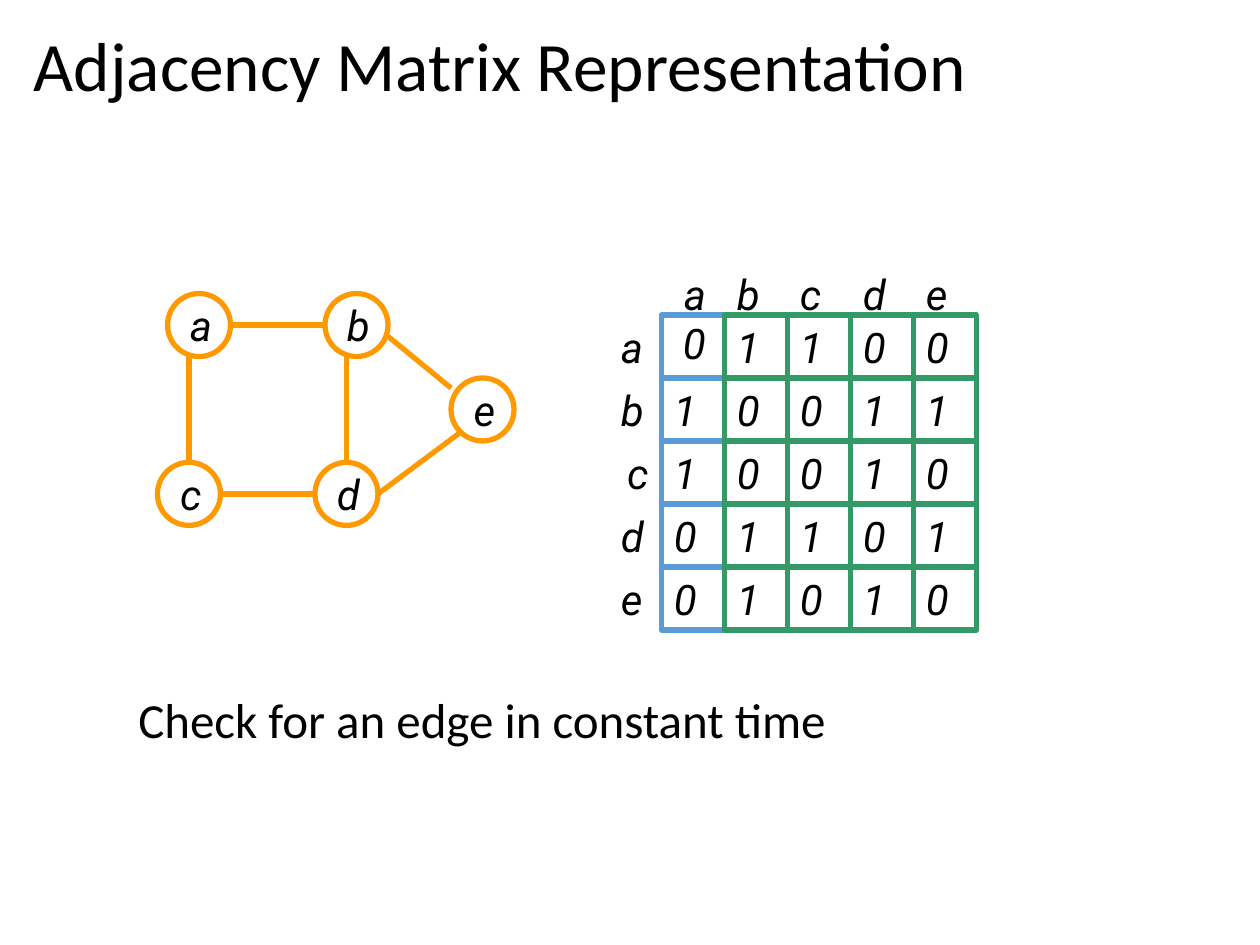
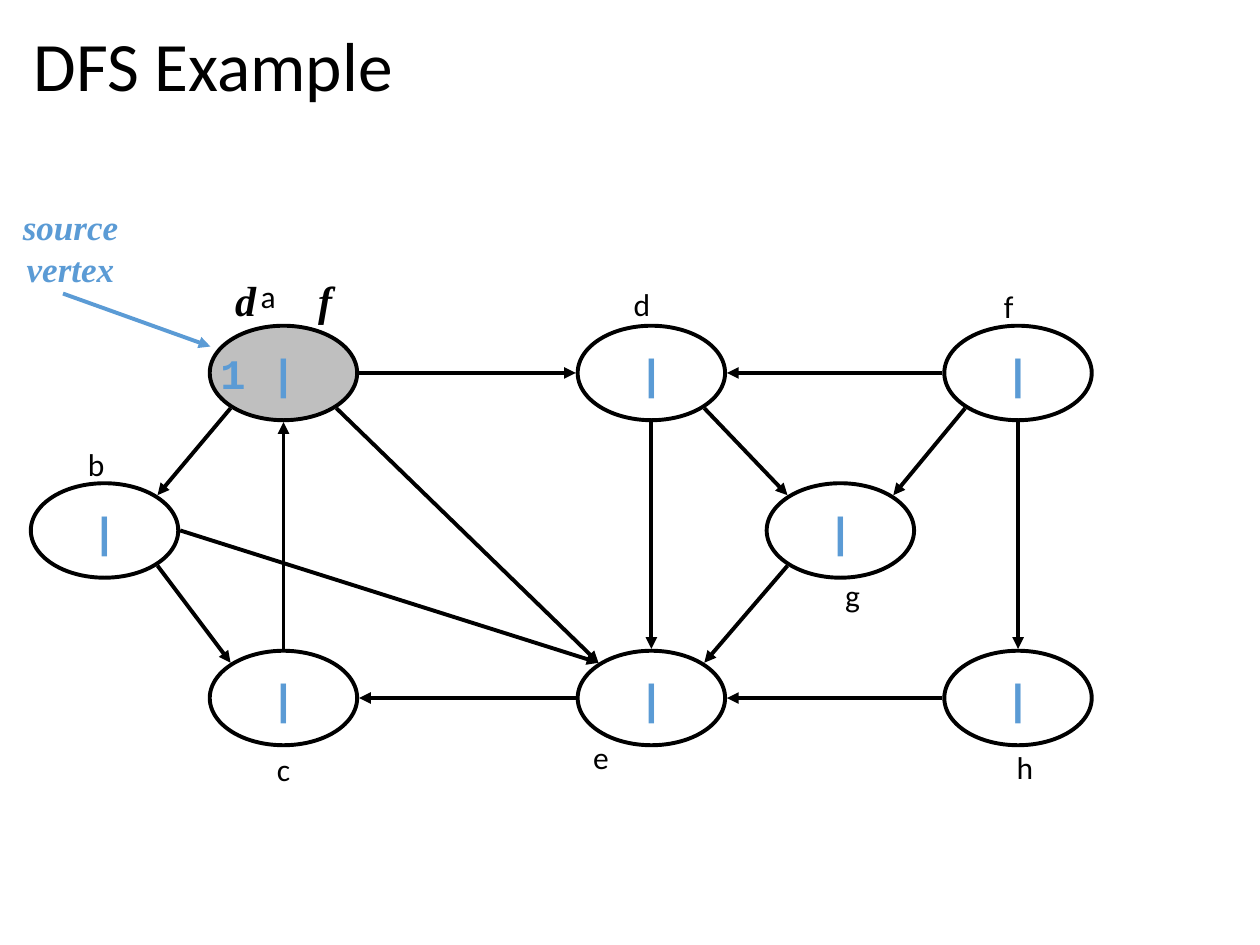
from lxml import etree
from pptx import Presentation
from pptx.dml.color import RGBColor
from pptx.enum import shapes, text
from pptx.oxml.ns import qn
from pptx.util import Inches, Pt

COLORS = {"black": "000000", "orange": "FF9900", "blue": "5B9BD5",
          "green": "339966", "gray": "BFBFBF"}
ITALIC = {"font": "Roboto", "size": 24, "italic": True}


def write_text(shape, content, font="Calibri", size=18, color="black", bold=False,
               italic=False, align="LEFT", anchor="TOP", wrap=False,
               left=0.1, top=0.05, right=0.1, spacing=None):
    """Put formatted text into a shape or text box."""
    frame = shape.text_frame
    frame.word_wrap = wrap
    frame.vertical_anchor = getattr(text.MSO_ANCHOR, anchor)
    frame.margin_left, frame.margin_right = Inches(left), Inches(right)
    frame.margin_top = frame.margin_bottom = Inches(top)
    paragraph = frame.paragraphs[0]
    paragraph.text = content
    paragraph.alignment = getattr(text.PP_ALIGN, align)
    paragraph.line_spacing = spacing
    for run in paragraph.runs:
        run.font.name = font
        run.font.size = Pt(size)
        run.font.bold = bold
        run.font.italic = italic
        run.font.color.rgb = RGBColor.from_string(COLORS[color])


def add_line(slide, start, end, color, width, arrow=False):
    """Draw a straight line, with an arrowhead at its end if wanted."""
    points = [Inches(value) for value in (*start, *end)]
    connector = slide.shapes.add_connector(shapes.MSO_CONNECTOR.STRAIGHT, *points)
    connector.line.color.rgb = RGBColor.from_string(COLORS[color])
    connector.line.width = Pt(width)
    if arrow:
        etree.SubElement(connector.line._get_or_add_ln(), qn("a:tailEnd"), type="triangle")
    etree.SubElement(connector._element.spPr, qn("a:effectLst"))


presentation = Presentation()
presentation.slide_width, presentation.slide_height = Inches(10), Inches(7.5)

# Slides and their titles
slides = []
for title in ("Adjacency Matrix Representation", "DFS Example"):
    slide = presentation.slides.add_slide(presentation.slide_layouts[6])
    box = slide.shapes.add_textbox(Inches(0.17), Inches(0.18), Inches(9.62), Inches(0.74))
    write_text(box, title, size=39.6, anchor="MIDDLE", wrap=True, spacing=0.9)
    slides.append(slide)
matrix_slide, dfs_slide = slides

# Undirected graph: nodes
CELL = 0.5
graph_nodes = {"a": (1.33, 2.33), "b": (2.58, 2.33), "c": (1.25, 3.67),
               "d": (2.5, 3.67), "e": (3.58, 3)}
for name, (x, y) in graph_nodes.items():
    node = matrix_slide.shapes.add_shape(shapes.MSO_SHAPE.OVAL, Inches(x), Inches(y),
                                         Inches(CELL), Inches(CELL))
    node.shadow.inherit = False
    node.fill.background()
    node.line.color.rgb = RGBColor.from_string(COLORS["orange"])
    node.line.width = Pt(3)
    write_text(node, name, **ITALIC, align="CENTER", anchor="MIDDLE",
               left=0.03, top=0, right=0)

# Undirected graph: edges
graph_edges = [((1.5, 3.67), (1.5, 2.83)), ((2.58, 2.58), (1.83, 2.58)),
               ((2.5, 3.92), (1.75, 3.92)), ((2.75, 3.67), (2.75, 2.83)),
               ((3.58, 3.08), (3.08, 2.67)), ((3.67, 3.42), (3, 3.92))]
for start, end in graph_edges:
    add_line(matrix_slide, start, end, "orange", 3)

# Adjacency matrix: first column blue, the others green
MATRIX_LEFT, MATRIX_TOP = 5.25, 2.5
matrix = ["01100", "10011", "10010", "01101", "01010"]
for column in range(5):
    for row in range(5):
        cell = matrix_slide.shapes.add_shape(
            shapes.MSO_SHAPE.RECTANGLE, Inches(MATRIX_LEFT + column * CELL),
            Inches(MATRIX_TOP + row * CELL), Inches(CELL), Inches(CELL))
        cell.shadow.inherit = False
        cell.fill.background()
        cell.line.color.rgb = RGBColor.from_string(COLORS["green" if column else "blue"])
        cell.line.width = Pt(3)
        is_corner = row == column == 0
        write_text(cell, matrix[row][column], **ITALIC, right=0,
                   left=0.17 if is_corner else 0.1, top=0.02 if is_corner else 0.05)

# Row and column headings
for index, name in enumerate("abcde"):
    row_place = (4.88 if name == "c" else 4.83, MATRIX_TOP + index * CELL)
    column_place = (5.33 if name == "a" else MATRIX_LEFT + index * CELL, 2.08)
    for x, y in (row_place, column_place):
        box = matrix_slide.shapes.add_textbox(Inches(x), Inches(y), Inches(0.4), Inches(CELL))
        write_text(box, name, **ITALIC)

box = matrix_slide.shapes.add_textbox(Inches(1), Inches(5.42), Inches(5.67), Inches(0.57))
write_text(box, "Check for an edge in constant time", size=28)

# DFS vertices: centre of each ellipse
WIDTH, HEIGHT = 1.17, 0.75
vertices = {"a": (2.25, 2.96), "d": (5.17, 2.96), "f": (8.08, 2.96), "h": (8.08, 5.54),
            "e": (5.17, 5.54), "c": (2.25, 5.54), "b": (0.83, 4.21), "g": (6.67, 4.21)}
for name, (x, y) in vertices.items():
    vertex = dfs_slide.shapes.add_shape(
        shapes.MSO_SHAPE.OVAL, Inches(x - WIDTH / 2), Inches(y - HEIGHT / 2),
        Inches(WIDTH), Inches(HEIGHT))
    vertex.shadow.inherit = False
    vertex.line.color.rgb = RGBColor.from_string(COLORS["black"])
    vertex.line.width = Pt(2.25)
    is_source = name == "a"
    if is_source:
        vertex.fill.solid()
        vertex.fill.fore_color.rgb = RGBColor.from_string(COLORS["gray"])
    else:
        vertex.fill.background()
    write_text(vertex, "1 |" if is_source else "|", font="Courier New", size=24,
               color="blue", bold=True, align="CENTER", anchor="MIDDLE",
               left=0, right=0.4 if is_source else 0)

# DFS edges: each end is a vertex and the side it touches
sides = {"N": (0, -0.39), "S": (0, 0.39), "W": (-0.6, 0), "E": (0.6, 0),
         "NW": (-0.42, -0.28), "NE": (0.42, -0.28),
         "SW": (-0.42, 0.28), "SE": (0.42, 0.28)}
dfs_edges = ["a SW b NE", "b SE c NW", "b E e NW", "e W c E", "c N a S", "a SE e NW",
             "d S e N", "a E d W", "f W d E", "d SE g NW", "f SW g NE", "f S h N",
             "h W e E", "g SW e NE"]
for edge in dfs_edges:
    tail, tail_side, head, head_side = edge.split()
    start, end = [[centre + offset for centre, offset in zip(vertices[name], sides[side])]
                  for name, side in ((tail, tail_side), (head, head_side))]
    add_line(dfs_slide, start, end, "black", 2.25, arrow=True)

# Pointer to the source vertex
add_line(dfs_slide, (0.5, 2.33), (1.67, 2.75), "blue", 2.25, arrow=True)
box = dfs_slide.shapes.add_textbox(Inches(0.08), Inches(1.58), Inches(0.96), Inches(0.77))
write_text(box, "source\nvertex", font="Times New Roman", size=20, color="blue",
           bold=True, italic=True, align="CENTER")

# Discovery and finish time headings
for name, x in (("d", 1.75), ("f", 2.38)):
    box = dfs_slide.shapes.add_textbox(Inches(x), Inches(2), Inches(0.4), Inches(HEIGHT))
    write_text(box, name, font="Times New Roman", size=24, bold=True, italic=True,
               align="CENTER", anchor="MIDDLE")

# Vertex names
vertex_labels = {"a": (1.97, 2.15), "b": (0.6, 3.48), "c": (2.1, 5.9), "d": (4.93, 2.21),
                 "e": (4.61, 5.81), "g": (6.61, 4.52), "h": (7.97, 5.89), "f": (7.87, 2.23)}
for name, (x, y) in vertex_labels.items():
    box = dfs_slide.shapes.add_textbox(Inches(x), Inches(y), Inches(0.5), Inches(0.4))
    write_text(box, name, wrap=True)

presentation.save("out.pptx")
